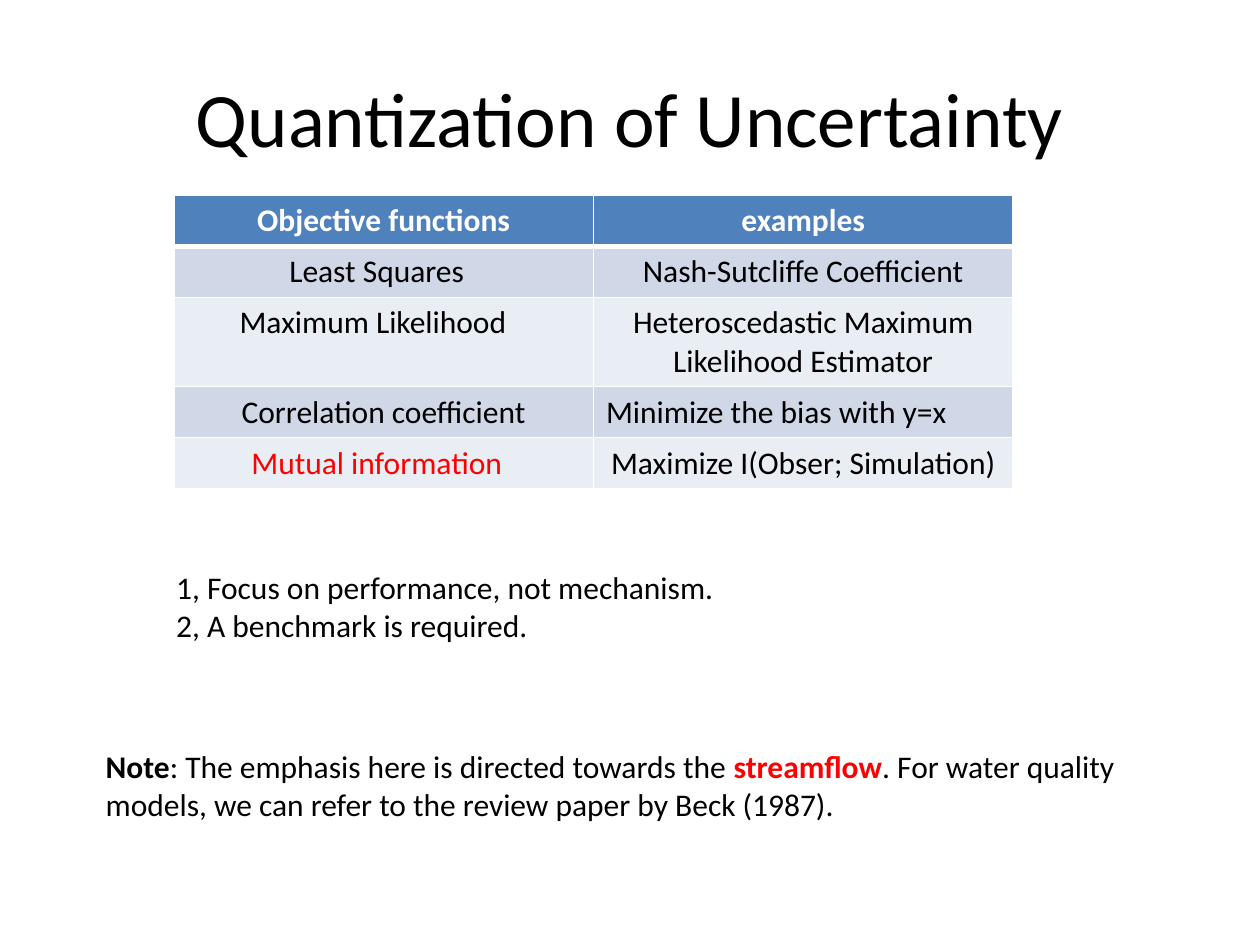
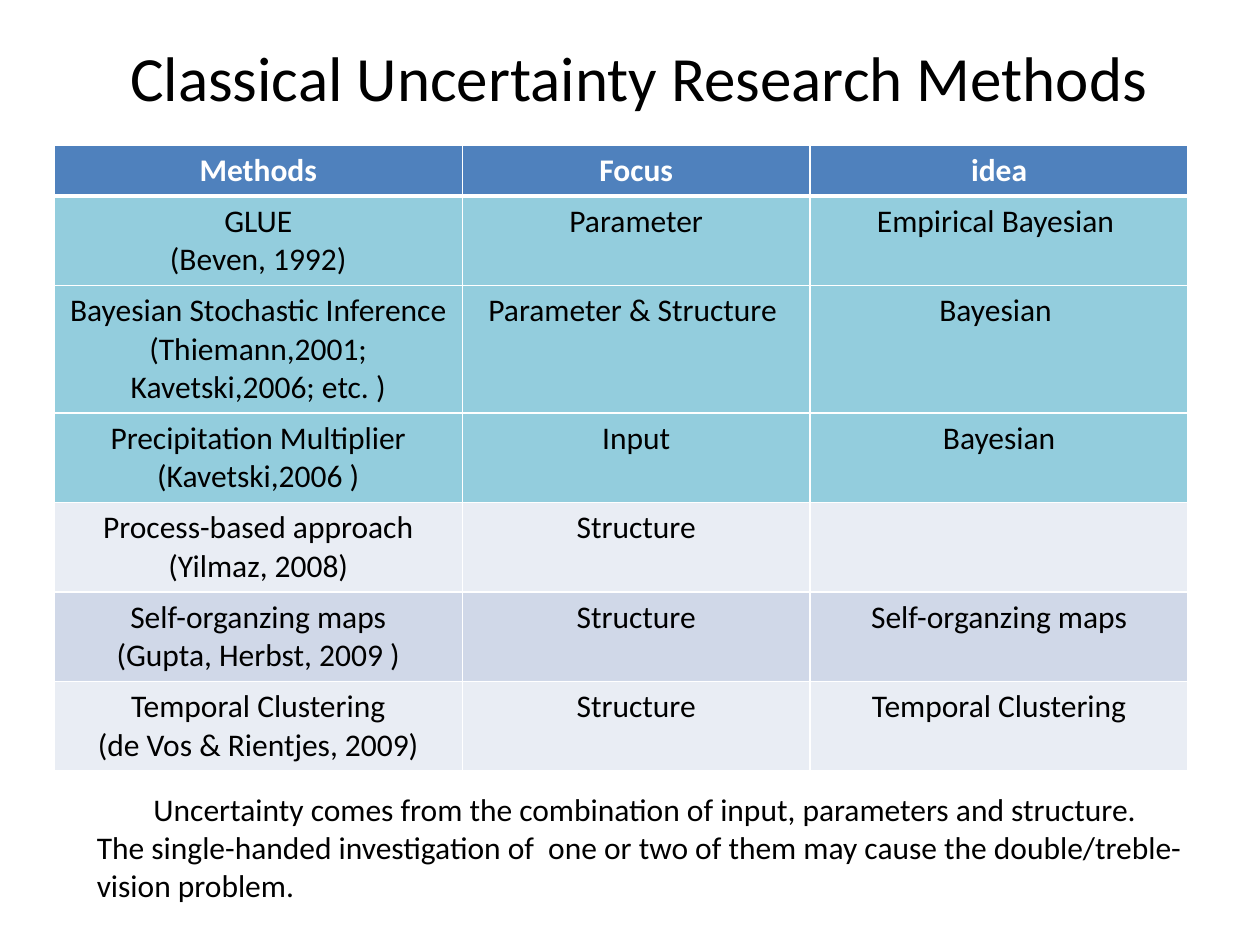
import pptx
import pptx.util
import pptx.dml.color
import pptx.enum.text
import pptx.oxml
import pptx.oxml.ns

Inches, Pt = pptx.util.Inches, pptx.util.Pt
RGB = pptx.dml.color.RGBColor.from_string
ALIGN = pptx.enum.text.PP_ALIGN
ANCHOR = pptx.enum.text.MSO_ANCHOR

THEME = {
    "font": "Calibri", "body": 18,
    "ink": "000000", "accent": "FF0000", "line": "FFFFFF",
    "header": "4F81BD", "header_ink": "FFFFFF",
    "bands": ["E9EDF4", "D0D8E8"], "highlight": "93CDDD",
}


def write(tf, paragraphs, align=ALIGN.LEFT, indent=0, **base):
    """Fill a text frame; each paragraph is a string or a list of (text, format) runs."""
    for i, runs in enumerate(paragraphs):
        p = tf.paragraphs[0] if i == 0 else tf.add_paragraph()
        p.alignment = align
        if indent and i == 0:
            p._p.get_or_add_pPr().set("indent", str(Inches(indent)))
        for text, extra in ([(runs, {})] if isinstance(runs, str) else runs):
            r = p.add_run()
            r.text = text
            fmt = {"size": THEME["body"], "color": THEME["ink"], "bold": False, **base, **extra}
            r.font.color.rgb = RGB(fmt["color"])
            for name, value in {"name": THEME["font"], "size": Pt(fmt["size"]),
                                "bold": fmt["bold"]}.items():
                setattr(r.font, name, value)


prs = pptx.Presentation()
prs.slide_width, prs.slide_height = Inches(10), Inches(7.5)

RED = {"color": THEME["accent"]}
BOLD = {"bold": True}

# Content: a table row is (number of text lines, cells)
slides = [
    {
        "title": ("Quantization of Uncertainty", 44, (0.5, 0.3, 9, 1.25)),
        "table": {
            "at": (1.38, 1.55), "cols": [3.33, 3.33], "highlighted": 0,
            "rows": [
                (1, ["Objective functions", "examples"]),
                (1, ["Least Squares", "Nash-Sutcliffe Coefficient"]),
                (2, ["Maximum Likelihood", "Heteroscedastic Maximum Likelihood Estimator"]),
                (1, ["Correlation coefficient", "Minimize the bias with y=x"]),
                (1, ["Mutual information", "Maximize I(Obser; Simulation)"]),
            ],
            # Cells that differ from the centred black default
            "left": {(3, 1)}, "red": {(4, 0)},
            "pad_right": {(1, 0): 0.11, (2, 0): 0.17, (4, 0): 0.11},
        },
        "texts": [
            ((0.74, 5.88, 8.58, 1.01), 0, [[
                ("Note", BOLD),
                (": The emphasis here is directed towards the ", {}),
                ("streamflow", {**RED, **BOLD}),
                (". For water quality models, we can refer to the review paper by Beck (1987).", {}),
            ]]),
            ((1.3, 4.46, 8.03, 0.71), 0, [
                "1, Focus on performance, not mechanism.",
                "2, A benchmark is required.",
            ]),
        ],
    },
    {
        "title": ("Classical Uncertainty Research Methods", 36, (0.57, 0.03, 9, 1.15)),
        "table": {
            "at": (0.43, 1.15), "cols": [3.24, 2.76, 3], "highlighted": 3,
            "rows": [
                (1, ["Methods", "Focus", "idea"]),
                (2, ["GLUE\n(Beven, 1992)", "Parameter", "Empirical Bayesian "]),
                (3, ["Bayesian Stochastic Inference\n(Thiemann,2001; Kavetski,2006; etc. )",
                     "Parameter & Structure ", "Bayesian "]),
                (2, ["Precipitation Multiplier (Kavetski,2006 )", "Input", "Bayesian"]),
                (2, ["Process-based approach\n(Yilmaz, 2008)", "Structure", ""]),
                (2, ["Self-organzing maps\n(Gupta, Herbst, 2009 )", "Structure",
                     "Self-organzing maps"]),
                (2, ["Temporal Clustering\n(de Vos & Rientjes, 2009)", "Structure",
                     "Temporal Clustering"]),
            ],
            "left": set(), "red": set(), "pad_right": {},
        },
        "texts": [
            ((0.67, 6.22, 8.9, 1.01), 0.45, [
                "Uncertainty comes from the combination of input, parameters and structure.",
                "The single-handed investigation of  one or two of them may cause the "
                "double/treble-vision problem.",
            ]),
        ],
    },
]

for content in slides:
    s = prs.slides.add_slide(prs.slide_layouts[6])

    # Title
    text, size, box = content["title"]
    tf = s.shapes.add_textbox(*map(Inches, box)).text_frame
    tf.word_wrap, tf.vertical_anchor = True, ANCHOR.MIDDLE
    write(tf, [text], ALIGN.CENTER, size=size)

    # Table
    spec = content["table"]
    heights = [0.1 + 0.305 * lines for lines, cells in spec["rows"]]
    tbl = s.shapes.add_table(len(heights), len(spec["cols"]), *map(Inches, spec["at"]),
                             Inches(sum(spec["cols"])), Inches(sum(heights))).table
    for col, width in zip(tbl.columns, spec["cols"]):
        col.width = Inches(width)
    for i, (lines, cells) in enumerate(spec["rows"]):
        tbl.rows[i].height = Inches(heights[i])
        if i == 0:
            fill, base = THEME["header"], {"color": THEME["header_ink"], "bold": True}
        else:
            fill = THEME["highlight"] if i <= spec["highlighted"] else THEME["bands"][i % 2]
            base = {}
        for j, text in enumerate(cells):
            cell = tbl.cell(i, j)
            # Cell borders, with a heavier rule under the header
            tcPr = cell._tc.get_or_add_tcPr()
            for side in "LRTB":
                heavy = (i, side) in [(0, "B"), (1, "T")]
                tcPr.append(pptx.oxml.parse_xml(
                    f'<a:ln{side} {pptx.oxml.ns.nsdecls("a")} w="{Pt(3 if heavy else 1)}">'
                    f'<a:solidFill><a:srgbClr val="{THEME["line"]}"/></a:solidFill></a:ln{side}>'))
            cell.fill.solid()
            cell.fill.fore_color.rgb = RGB(fill)
            cell.margin_right = Inches(0.1 + spec["pad_right"].get((i, j), 0))
            if text:
                write(cell.text_frame, text.split("\n"),
                      ALIGN.LEFT if (i, j) in spec["left"] else ALIGN.CENTER,
                      **{**base, **(RED if (i, j) in spec["red"] else {})})
            else:
                cell.text_frame.paragraphs[0].font.size = Pt(THEME["body"])

    # Remarks
    for box, indent, paragraphs in content["texts"]:
        tf = s.shapes.add_textbox(*map(Inches, box)).text_frame
        tf.word_wrap = True
        write(tf, paragraphs, indent=indent)

prs.save("out.pptx")
